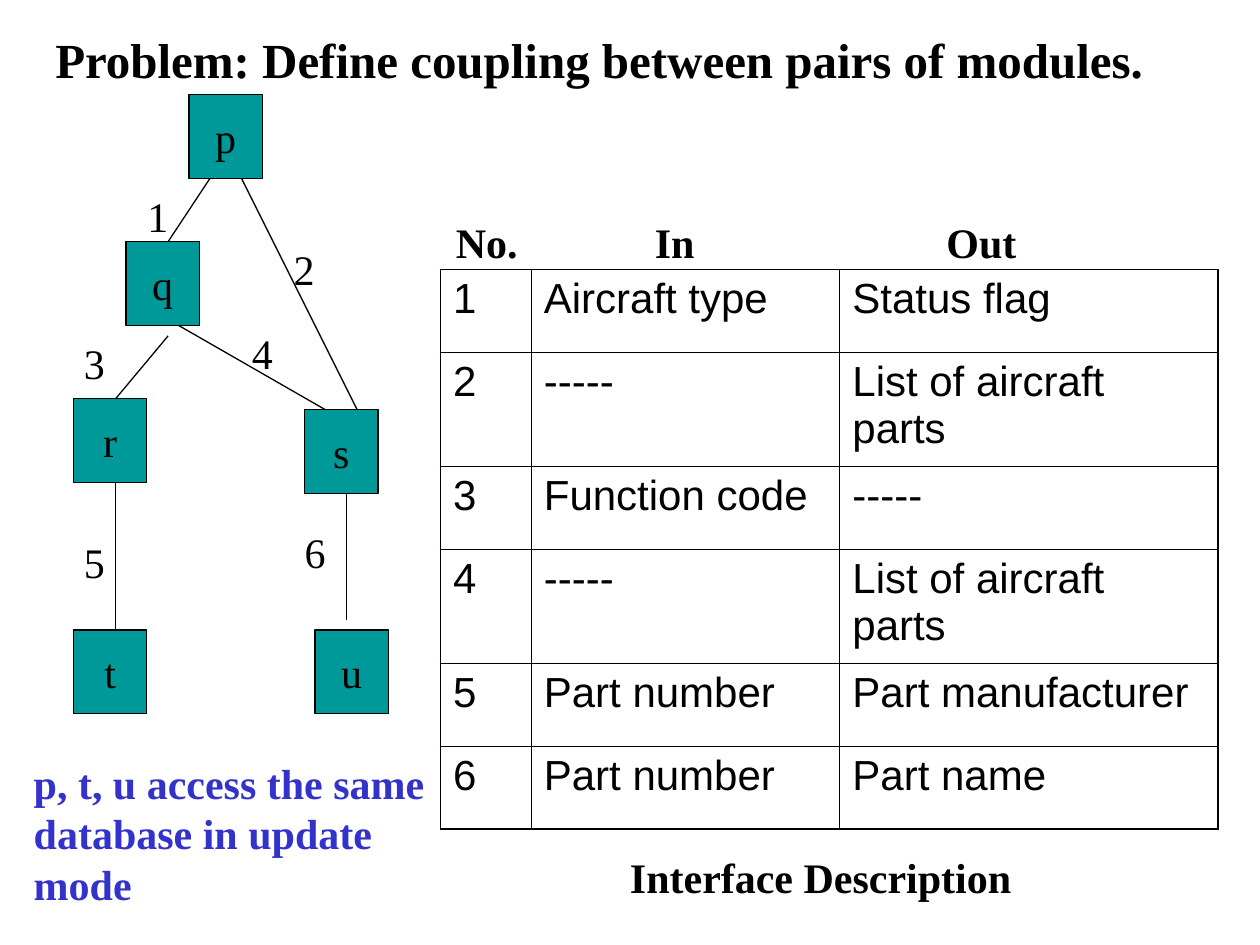
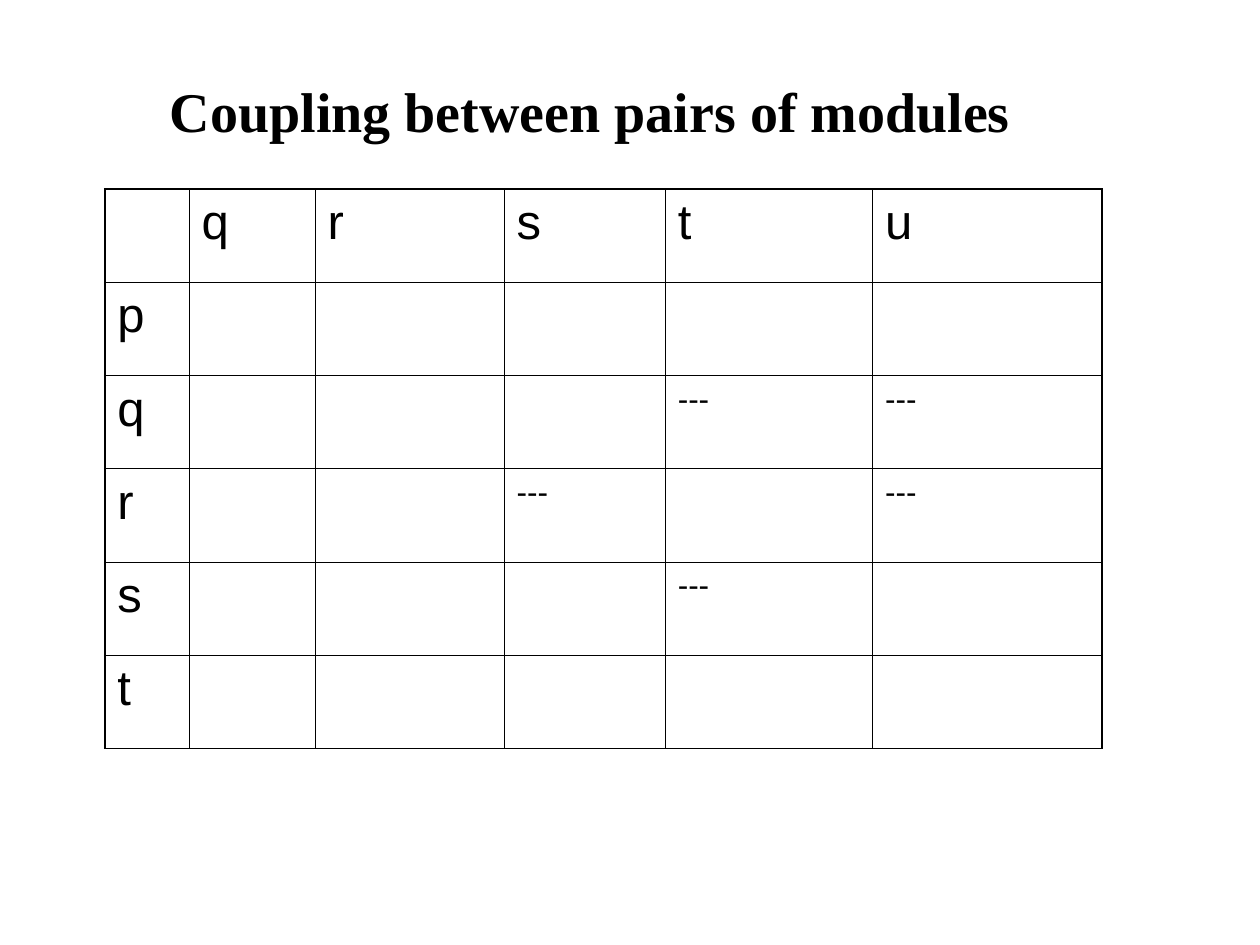
"""Build two slides on coupling between pairs of modules."""
from lxml import etree
from pptx import Presentation
from pptx import util as u
from pptx.dml.color import RGBColor
from pptx.enum import shapes, text
from pptx.oxml.ns import qn

BLACK, TEAL, BLUE = "000000", "009999", "3333CC"
SERIF, SANS = "Times New Roman", "Arial"
THIN, THICK = 0.45, 1.08


def tint(code):
    return RGBColor.from_string(code)


def cms(*nums):
    return [u.Cm(n) for n in nums]


class Deck:
    def __init__(self):
        self.prs = Presentation()
        self.prs.slide_width, self.prs.slide_height = cms(25.4, 19.05)
        self.slide = None

    def style(self, frame, size, face=SERIF, bold=False, color=BLACK):
        for para in frame.paragraphs:
            for run in para.runs:
                font = run.font
                font.name, font.size, font.bold = face, u.Pt(size), bold
                font.color.rgb = tint(color)

    def title(self, words, size, box):
        self.slide = self.prs.slides.add_slide(self.prs.slide_layouts[5])
        shape = self.slide.shapes.title
        shape.left, shape.top, shape.width, shape.height = cms(*box)
        frame = shape.text_frame
        frame.text = words
        frame.word_wrap = True
        frame.auto_size = text.MSO_AUTO_SIZE.NONE
        frame.vertical_anchor = text.MSO_ANCHOR.TOP
        frame.paragraphs[0].alignment = text.PP_ALIGN.LEFT
        self.style(frame, size, bold=True)

    def label(self, words, box, tabs=(), **look):
        frame = self.slide.shapes.add_textbox(*cms(*box)).text_frame
        frame.text = words
        frame.word_wrap = True
        self.style(frame, 24, **look)
        if tabs:
            props = frame.paragraphs[0]._p.get_or_add_pPr()
            stops = etree.SubElement(props, qn("a:tabLst"))
            for pos in tabs:
                etree.SubElement(stops, qn("a:tab"), pos=str(u.Cm(pos)), algn="l")

    def node(self, name, left, top):
        kind = shapes.MSO_SHAPE.RECTANGLE
        shape = self.slide.shapes.add_shape(kind, *cms(left, top, 1.48, 1.69))
        shape.shadow.inherit = False
        shape.fill.solid()
        shape.fill.fore_color.rgb = tint(TEAL)
        shape.line.color.rgb = tint(BLACK)
        shape.line.width = u.Pt(0.75)
        frame = shape.text_frame
        frame.text = name
        frame.word_wrap = False
        frame.vertical_anchor = text.MSO_ANCHOR.MIDDLE
        frame.paragraphs[0].alignment = text.PP_ALIGN.CENTER
        self.style(frame, 24)

    def link(self, *ends):
        kind = shapes.MSO_CONNECTOR.STRAIGHT
        line = self.slide.shapes.add_connector(kind, *cms(*ends))
        line.line.color.rgb = tint(BLACK)
        line.line.width = u.Pt(0.75)
        etree.SubElement(line._element.spPr, qn("a:effectLst"))

    def edge(self, cell, sides):
        props = cell._tc.get_or_add_tcPr()
        for spot, (side, outer) in enumerate(sides.items()):
            width = u.Pt(THICK if outer else THIN)
            line = etree.Element(qn("a:ln" + side), w=str(width))
            fill = etree.SubElement(line, qn("a:solidFill"))
            etree.SubElement(fill, qn("a:srgbClr"), val=BLACK)
            props.insert(spot, line)

    def table(self, rows, left, top, wides, highs, size):
        high, wide = len(rows), len(wides)
        box = cms(left, top, sum(wides), sum(highs))
        grid = self.slide.shapes.add_table(high, wide, *box).table
        grid.first_row = grid.horz_banding = False
        for col, width in zip(grid.columns, wides):
            col.width = u.Cm(width)
        for r, row in enumerate(rows):
            grid.rows[r].height = u.Cm(highs[r])
            for c, words in enumerate(row):
                cell = grid.cell(r, c)
                cell.fill.background()
                self.edge(cell, {"L": c == 0, "R": c == wide - 1,
                                 "T": r == 0, "B": r == high - 1})
                if words:
                    points = 18 if words == "---" else size
                    cell.text_frame.text = words
                    cell.text_frame.paragraphs[0].space_before = u.Pt(points / 4)
                    self.style(cell.text_frame, points, SANS)


NODES = {"p": (3.81, 1.91), "q": (2.54, 4.87), "t": (1.48, 12.7),
         "r": (1.48, 8.04), "s": (6.14, 8.26), "u": (6.35, 12.7)}
LINKS = [(4.23, 3.6, 3.39, 4.87), (3.39, 6.77, 2.33, 8.04),
         (2.33, 9.74, 2.33, 12.7), (6.99, 9.95, 6.99, 12.49),
         (3.6, 6.56, 6.56, 8.26), (4.87, 3.6, 7.2, 8.26)]
MARKS = [(2.72, 3.71), (5.67, 4.78), (1.44, 6.68),
         (4.83, 6.48), (1.44, 10.7), (5.89, 10.49)]
FLOWS = [("1", "Aircraft type", "Status flag"),
         ("2", "-----", "List of aircraft parts"),
         ("3", "Function code", "-----"),
         ("4", "-----", "List of aircraft parts"),
         ("5", "Part number", "Part manufacturer"),
         ("6", "Part number", "Part name")]
PAIRS = [("", "q", "r", "s", "t", "u"),
         ("p", "", "", "", "", ""),
         ("q", "", "", "", "---", "---"),
         ("r", "", "", "---", "", "---"),
         ("s", "", "", "", "---", ""),
         ("t", "", "", "", "", "")]


def main():
    deck = Deck()
    deck.title("Problem: Define coupling between pairs of modules.", 28,
               (0.86, 0.46, 22.8, 1.45))
    for name, spot in NODES.items():
        deck.node(name, *spot)
    for ends in LINKS:
        deck.link(*ends)
    for num, spot in enumerate(MARKS, 1):
        deck.label(str(num), (*spot, 1, 1.27))
    deck.table(FLOWS, 8.88, 5.43, (1.83, 6.22, 7.62),
               (1.67, 2.3, 1.67, 2.3, 1.67, 1.67), 24)
    deck.label("No.\tIn\tOut", (8.94, 4.24, 12.2, 1.27), (4.01, 9.89), bold=True)
    deck.label("Interface Description", (12.45, 17.05, 8.5, 1.27), bold=True)
    deck.label("p, t, u access the same\ndatabase in update\nmode",
               (0.43, 15.14, 8.6, 3.3), bold=True, color=BLUE)

    deck.title("Coupling between pairs of modules", 32, (3.17, 1.42, 17.8, 1.63))
    deck.table(PAIRS, 2.11, 3.81, (1.7, 2.54, 3.81, 3.25, 4.18, 4.62), [1.88] * 6, 28)
    deck.prs.save("out.pptx")


if __name__ == "__main__":
    main()
